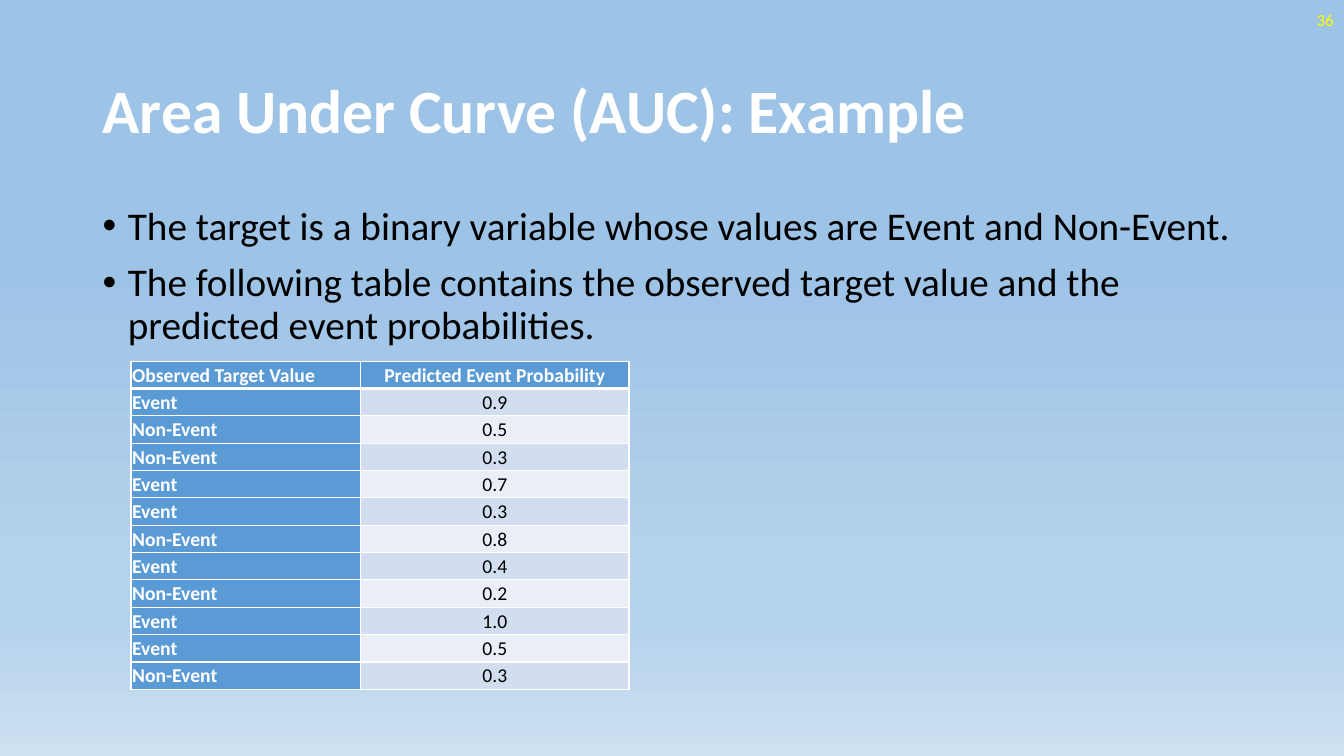
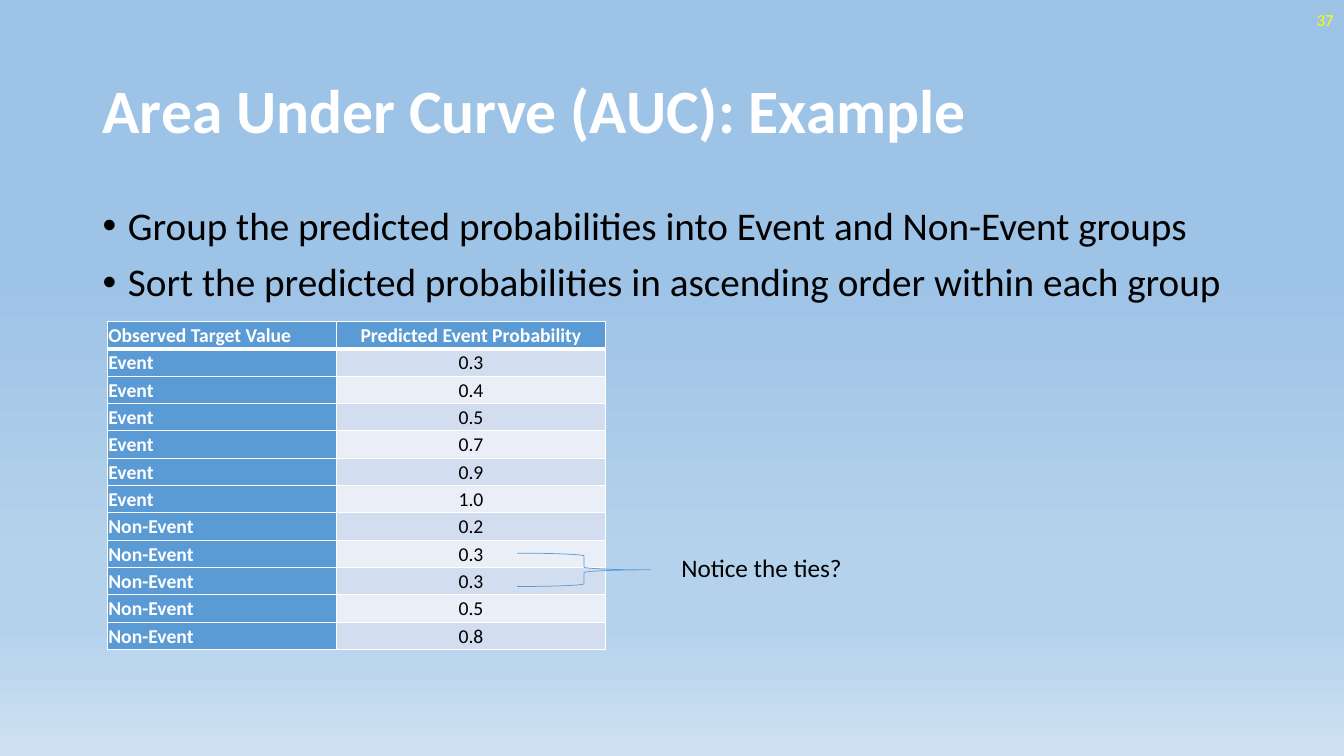
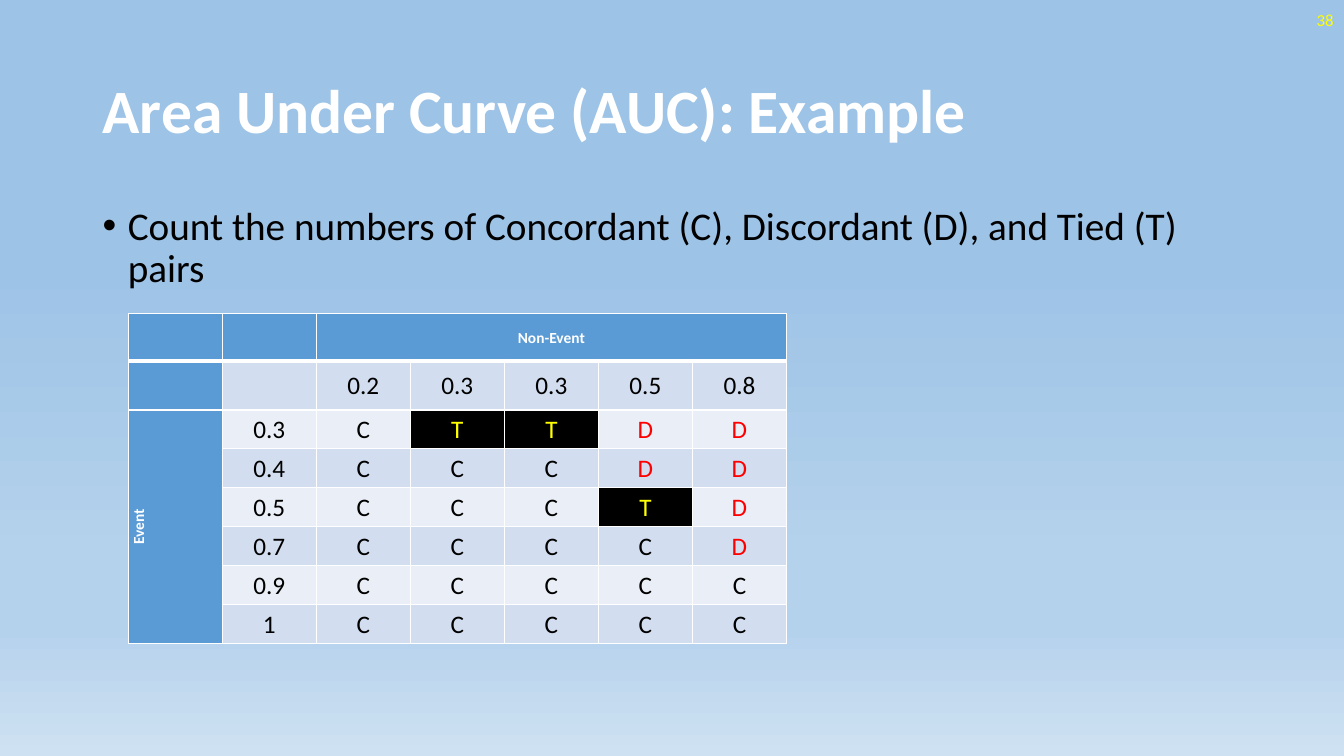
from lxml.etree import SubElement
from pptx import Presentation
from pptx.dml.color import RGBColor
from pptx.enum.shapes import MSO_SHAPE as Preset
from pptx.enum.text import MSO_ANCHOR as Anchor, PP_ALIGN as Align
from pptx.oxml.ns import qn
from pptx.util import Cm, Pt

COLORS = {
    "white": "FFFFFF", "black": "000000", "yellow": "FFFF00", "red": "FF0000",
    "blue": "5B9BD5", "band_dark": "D2DEEF", "band_light": "EAEFF7",
}
SKY = [(35, "9DC3E6"), (74, "B5D2EC"), (83, "B5D2EC"), (100, "CEE1F2")]
FONT = "Calibri"
TITLE = "Area Under Curve (AUC): Example"
TITLE_BOX = (2.33, 1.01, 29.21, 3.68)
BODY_BOX = (2.33, 5.08, 29.21, 12.09)
NUMBER_BOX = (26.24, 0, 7.62, 1.01)
OBSERVATIONS = [
    ("Event", 0.9), ("Non-Event", 0.5), ("Non-Event", 0.3), ("Event", 0.7),
    ("Event", 0.3), ("Non-Event", 0.8), ("Event", 0.4), ("Non-Event", 0.2),
    ("Event", 1.0), ("Event", 0.5), ("Non-Event", 0.3),
]


def rgb(name):
    return RGBColor.from_string(COLORS[name])


def style(paragraph, size, color, bold=False, align=Align.LEFT):
    paragraph.alignment = align
    for run in paragraph.runs:
        run.font.name = FONT
        run.font.size = Pt(size)
        run.font.bold = bold
        run.font.color.rgb = rgb(color)


def place(shape, box):
    shape.left, shape.top, shape.width, shape.height = map(Cm, box)


def paint_background(master):
    fill = master.background.fill
    fill.gradient()
    fill.gradient_angle = 270
    stops = master.element.find(".//" + qn("a:gsLst"))
    for stop in list(stops):
        stops.remove(stop)
    for percent, color in SKY:
        stop = SubElement(stops, qn("a:gs"), pos=str(percent * 1000))
        SubElement(stop, qn("a:srgbClr"), val=color)


def add_text(slide, box, text, size, color, align=Align.LEFT, anchor=Anchor.TOP):
    frame = slide.shapes.add_textbox(*map(Cm, box)).text_frame
    frame.word_wrap = True
    frame.vertical_anchor = anchor
    frame.text = text
    style(frame.paragraphs[0], size, color, align=align)


def add_bullets(body, bullets):
    place(body, BODY_BOX)
    body.text_frame.text = "\n".join(bullets)
    for paragraph in body.text_frame.paragraphs:
        style(paragraph, 28, "black")
        paragraph.line_spacing = 0.9
        paragraph.space_before = Pt(10)
        properties = paragraph._p.get_or_add_pPr()
        properties.set("marL", str(Cm(0.64)))
        properties.set("indent", str(-Cm(0.64)))


def add_example_slide(deck, number, bullets):
    slide = deck.slides.add_slide(deck.slide_layouts[1])
    title = slide.shapes.title
    place(title, TITLE_BOX)
    title.text_frame.text = TITLE
    title.text_frame.vertical_anchor = Anchor.MIDDLE
    style(title.text_frame.paragraphs[0], 44, "white", bold=True)
    title.text_frame.paragraphs[0].line_spacing = 0.9
    add_bullets(slide.placeholders[1], bullets)
    add_text(slide, NUMBER_BOX, str(number), 12, "yellow", Align.RIGHT, Anchor.MIDDLE)
    return slide


def add_grid(slide, left, top, widths, heights):
    frame = slide.shapes.add_table(
        len(heights), len(widths), Cm(left), Cm(top), Cm(sum(widths)), Cm(sum(heights)))
    for column, width in zip(frame.table.columns, widths):
        column.width = Cm(width)
    for row, height in zip(frame.table.rows, heights):
        row.height = Cm(height)
    return frame.table


def border_cell(cell, row):
    properties = cell._tc.get_or_add_tcPr()
    widths = {"L": 1, "R": 1, "T": 3 if row == 1 else 1, "B": 3 if row == 0 else 1}
    for side, width in widths.items():
        line = SubElement(properties, qn("a:ln" + side), w=str(Pt(width)))
        SubElement(SubElement(line, qn("a:solidFill")), qn("a:srgbClr"), val=COLORS["white"])


def fill_cell(table, row, column, text, size, color=None, fill=None, align=Align.CENTER):
    cell = table.cell(row, column)
    heading = row == 0 or column == 0
    band = "band_dark" if row % 2 else "band_light"
    border_cell(cell, row)
    cell.fill.solid()
    cell.fill.fore_color.rgb = rgb(fill or ("blue" if heading else band))
    cell.margin_left = cell.margin_top = cell.margin_right = Cm(0.03)
    cell.margin_bottom = 0
    cell.vertical_anchor = Anchor.MIDDLE
    cell.text_frame.text = text
    style(cell.text_frame.paragraphs[0], size,
          color or ("white" if heading else "black"), heading, align)


def add_observations(slide, left, top, observations):
    rows = [("Observed Target Value", "Predicted Event Probability")]
    rows += [(target, f"{chance:.1f}") for target, chance in observations]
    table = add_grid(slide, left, top, [5.79, 6.76], [0.69] * len(rows))
    for row, (target, chance) in enumerate(rows):
        fill_cell(table, row, 0, target, 14, align=Align.LEFT)
        fill_cell(table, row, 1, chance, 14)


def add_ties_note(slide, left, top):
    brace = slide.shapes.add_shape(
        Preset.RIGHT_BRACE, Cm(left), Cm(top + 0.15), Cm(3.38), Cm(0.84))
    brace.shadow.inherit = False
    brace.fill.background()
    brace.line.color.rgb = rgb("blue")
    brace.line.width = Pt(0.5)
    add_text(slide, (left + 3.89, top, 7.29, 1.02), "Notice the ties?", 18, "black")


def compare(event, non_event):
    if event == non_event:
        return "T", "yellow", "black"
    if event < non_event:
        return "D", "red", None
    return "C", None, None


def add_pairs(slide, left, top):
    events, non_events = (
        sorted(chance for target, chance in OBSERVATIONS if target == group)
        for group in ("Event", "Non-Event"))
    table = add_grid(slide, left, top, [2.37] * (len(non_events) + 2),
                     [1.19, 1.24] + [0.98] * len(events))
    last_row, last_column = len(events) + 1, len(non_events) + 1
    table.cell(0, 2).merge(table.cell(0, last_column))
    table.cell(2, 0).merge(table.cell(last_row, 0))

    for column in range(last_column + 1):
        fill_cell(table, 0, column, "Non-Event" if column == 2 else "", 11)
    for row in range(1, last_row + 1):
        fill_cell(table, row, 0, "Event" if row == 2 else "", 11)
    table.cell(2, 0)._tc.get_or_add_tcPr().set("vert", "vert270")

    fill_cell(table, 1, 1, "", 18)
    for column, non_event in enumerate(non_events, 2):
        fill_cell(table, 1, column, f"{non_event:g}", 18)
    for row, event in enumerate(events, 2):
        fill_cell(table, row, 1, f"{event:g}", 18)
        for column, non_event in enumerate(non_events, 2):
            letter, color, fill = compare(event, non_event)
            fill_cell(table, row, column, letter, 18, color, fill)


def main():
    deck = Presentation()
    deck.slide_width, deck.slide_height = Cm(33.87), Cm(19.05)
    paint_background(deck.slide_master)

    observed = add_example_slide(deck, 36, [
        "The target is a binary variable whose values are Event and Non-Event.",
        "The following table contains the observed target value and the "
        "predicted event probabilities.",
    ])
    add_observations(observed, 3.3, 9.1, OBSERVATIONS)

    grouped = add_example_slide(deck, 37, [
        "Group the predicted probabilities into Event and Non-Event groups",
        "Sort the predicted probabilities in ascending order within each group",
    ])
    add_observations(grouped, 2.7, 8.1, sorted(OBSERVATIONS))
    add_ties_note(grouped, 13.03, 13.79)

    counted = add_example_slide(deck, 38, [
        "Count the numbers of Concordant (C), Discordant (D), and Tied (T) pairs",
    ])
    add_pairs(counted, 3.23, 7.9)

    deck.save("out.pptx")


if __name__ == "__main__":
    main()
